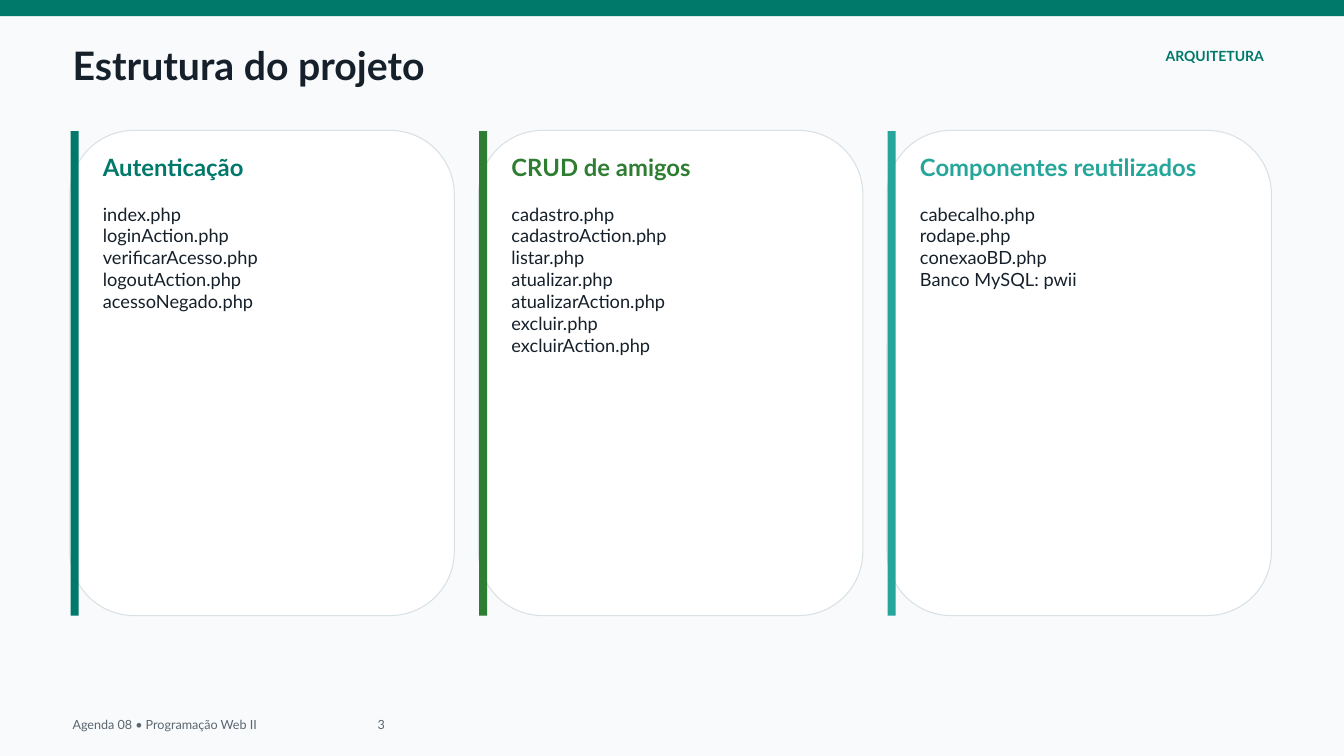
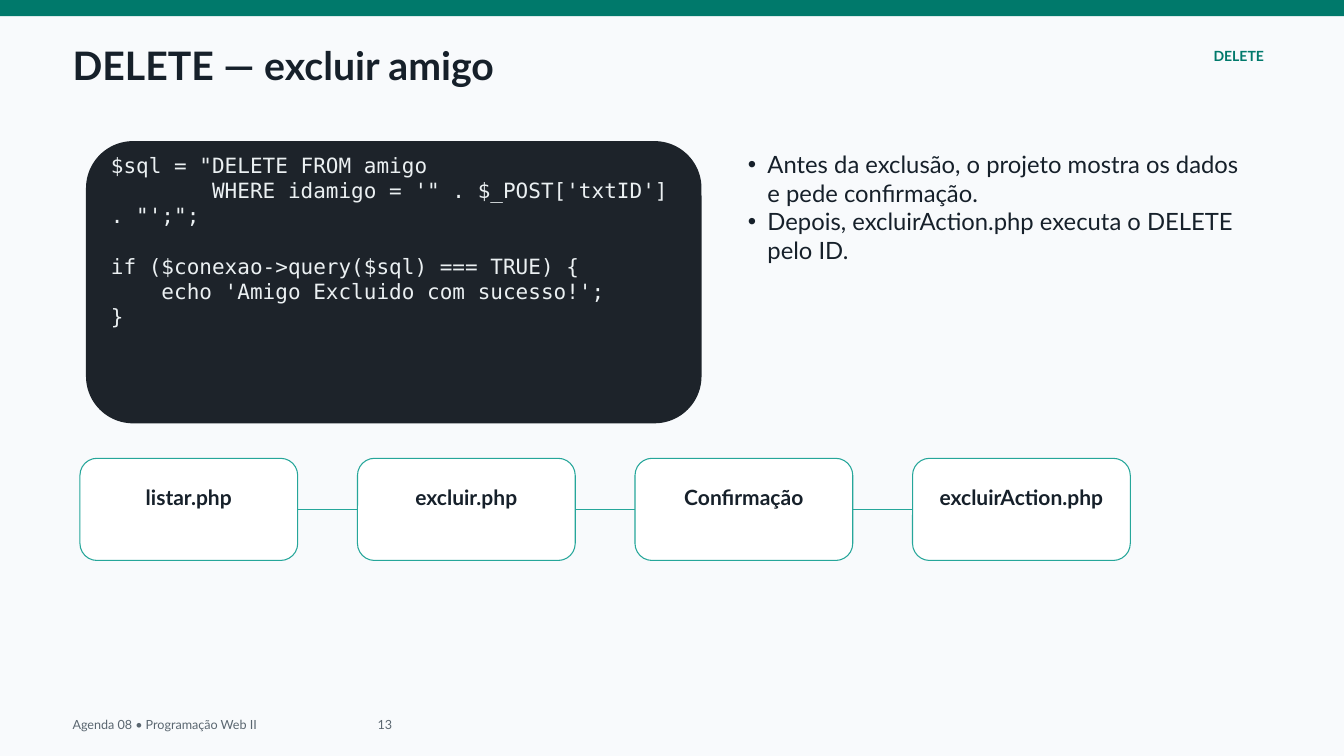
from lxml import etree
from pptx import Presentation
from pptx.dml.color import RGBColor
from pptx.enum.shapes import MSO_CONNECTOR, MSO_SHAPE
from pptx.enum.text import MSO_ANCHOR, MSO_AUTO_SIZE, PP_ALIGN
from pptx.oxml.ns import qn
from pptx.util import Inches, Pt

LEFT, CENTER, RIGHT = PP_ALIGN.LEFT, PP_ALIGN.CENTER, PP_ALIGN.RIGHT
TOP = MSO_ANCHOR.TOP
NO_AUTOFIT = MSO_AUTO_SIZE.NONE
RECTANGLE, ROUNDED = MSO_SHAPE.RECTANGLE, MSO_SHAPE.ROUNDED_RECTANGLE
STRAIGHT = MSO_CONNECTOR.STRAIGHT
SIDE_LEFT, SIDE_RIGHT = 1, 3
TITLE_AND_BODY, TITLE_ONLY = 1, 5

PAPER, WHITE, INK, GRAY = "F8FAFC", "FFFFFF", "16202A", "5A6670"
TEAL, GREEN, AQUA = "00796B", "2E7D32", "26A69A"
CARD_EDGE, CODE_BACK, CODE_INK = "DAE1E4", "1D232A", "EBF0F2"
SANS, MONO = "Lato", "DejaVu Sans Mono"
LINE_FACTOR = 1.2

CARDS = [
    ("Autenticação", TEAL,
     ["index.php", "loginAction.php", "verificarAcesso.php",
      "logoutAction.php", "acessoNegado.php"]),
    ("CRUD de amigos", GREEN,
     ["cadastro.php", "cadastroAction.php", "listar.php", "atualizar.php",
      "atualizarAction.php", "excluir.php", "excluirAction.php"]),
    ("Componentes reutilizados", AQUA,
     ["cabecalho.php", "rodape.php", "conexaoBD.php", "Banco MySQL: pwii"]),
]
QUERY_CODE = [
    "$sql = \"DELETE FROM amigo",
    "        WHERE idamigo = '\" . $_POST['txtID'] . \"';\";",
]
RESULT_CODE = [
    "if ($conexao->query($sql) === TRUE) {",
    "    echo 'Amigo Excluido com sucesso!';",
    "}",
]
NOTES = [
    "Antes da exclusão, o projeto mostra os dados e pede confirmação.",
    "Depois, excluirAction.php executa o DELETE pelo ID.",
]
STEPS = ["listar.php", "excluir.php", "Confirmação", "excluirAction.php"]


def rgb(color):
    return RGBColor.from_string(color)


def set_values(target, values):
    for name, value in values.items():
        setattr(target, name, value)


def place(shape, left, top, width, height):
    set_values(shape, {"left": Inches(left), "top": Inches(top),
                       "width": Inches(width), "height": Inches(height)})


def set_bullet(para, indent):
    properties = para._p.get_or_add_pPr()
    properties.set("marL", str(Inches(indent)))
    properties.set("indent", str(-Inches(indent)))
    etree.SubElement(properties, qn("a:buChar")).set("char", "•")


def set_tab(para, position):
    tabs = etree.SubElement(para._p.get_or_add_pPr(), qn("a:tabLst"))
    tab = etree.SubElement(tabs, qn("a:tab"))
    tab.set("pos", str(Inches(position)))
    tab.set("algn", "l")


def write(shape, lines, size, color=INK, font=SANS, bold=False, align=LEFT,
          insets=(0, 0), bullet=None, tab=None):
    side, top = insets
    frame = shape.text_frame
    set_values(frame, {
        "word_wrap": True, "auto_size": NO_AUTOFIT, "vertical_anchor": TOP,
        "margin_left": Inches(side), "margin_right": Inches(side),
        "margin_top": Inches(top), "margin_bottom": 0})
    frame.text = "\n".join(lines)
    for para in frame.paragraphs:
        if bullet:
            set_bullet(para, bullet)
        if tab:
            set_tab(para, tab)
        set_values(para, {"alignment": align, "space_before": Pt(0),
                          "line_spacing": Pt(size * LINE_FACTOR)})
        for span in para.runs:
            set_values(span.font, {"name": font, "size": Pt(size), "bold": bold})
            span.font.color.rgb = rgb(color)
    return frame


def add_text(page, bounds, lines, size, **look):
    box = page.shapes.add_textbox(*map(Inches, bounds))
    return write(box, lines, size, **look)


def add_panel(page, kind, bounds, fill, edge=None):
    panel = page.shapes.add_shape(kind, *map(Inches, bounds))
    panel.shadow.inherit = False
    panel.fill.solid()
    panel.fill.fore_color.rgb = rgb(fill)
    if edge:
        panel.line.color.rgb = rgb(edge)
        panel.line.width = Pt(1.13)
    else:
        panel.line.fill.background()
    return panel


def add_page(deck, layout, title, section, number):
    page = deck.slides.add_slide(deck.slide_layouts[layout])
    add_panel(page, RECTANGLE, (0, 0, 20, 0.24), TEAL)
    place(page.shapes.title, 1.08, 0.62, 17.51, 0.73)
    write(page.shapes.title, [title], 42, bold=True)
    add_text(page, (15.86, 0.7, 2.95, 0.43), [section], 15,
             color=TEAL, bold=True, align=RIGHT)
    add_text(page, (1.08, 10.67, 17.81, 0.24),
             [f"Agenda 08 • Programação Web II\t{number}"], 13.5,
             color=GRAY, tab=4.54)
    return page


def add_card(page, left, heading, color, files):
    add_panel(page, ROUNDED, (left, 1.94, 5.72, 7.22), WHITE, CARD_EDGE)
    add_panel(page, RECTANGLE, (left + 0.01, 1.95, 0.12, 7.21), color)
    add_text(page, (left + 0.49, 2.27, 4.83, 0.53), [heading], 25.5,
             color=color, bold=True)
    add_text(page, (left + 0.49, 3.02, 4.83, 5.87), files, 19.5)


def add_code(page):
    add_panel(page, ROUNDED, (1.28, 2.1, 9.16, 4.2), CODE_BACK)
    frame = add_text(page, (1.65, 2.27, 8.42, 3.81), QUERY_CODE + RESULT_CODE,
                     22.5, color=CODE_INK, font=MONO)
    frame.paragraphs[len(QUERY_CODE)].space_before = Pt(22.5 * LINE_FACTOR)


def add_step(page, left, label):
    step = add_panel(page, ROUNDED, (left, 6.82, 3.24, 1.52), WHITE, AQUA)
    write(step, [label], 22.5, bold=True, align=CENTER, insets=(0.19, 0.32))
    return step


def join(page, start, end):
    link = page.shapes.add_connector(STRAIGHT, 0, 0, 0, 0)
    link.begin_connect(start, SIDE_RIGHT)
    link.end_connect(end, SIDE_LEFT)
    link.line.color.rgb = rgb(AQUA)
    link.line.width = Pt(1.5)
    etree.SubElement(link._element.spPr, qn("a:effectLst"))


def build_structure(deck):
    page = add_page(deck, TITLE_ONLY, "Estrutura do projeto", "ARQUITETURA", 3)
    for index, card in enumerate(CARDS):
        add_card(page, 1.04 + 6.08 * index, *card)


def build_delete(deck):
    page = add_page(deck, TITLE_AND_BODY, "DELETE — excluir amigo", "DELETE", 13)
    add_code(page)
    body = page.placeholders[1]
    place(body, 11.13, 2.23, 7.31, 3.2)
    write(body, NOTES, 25.5, bullet=0.29)
    steps = [add_step(page, 1.19 + 4.13 * index, label)
             for index, label in enumerate(STEPS)]
    for start, end in zip(steps, steps[1:]):
        join(page, start, end)


def main():
    deck = Presentation()
    set_values(deck, {"slide_width": Inches(20), "slide_height": Inches(11.25)})
    backdrop = deck.slide_master.background.fill
    backdrop.solid()
    backdrop.fore_color.rgb = rgb(PAPER)
    build_structure(deck)
    build_delete(deck)
    deck.save("out.pptx")


if __name__ == "__main__":
    main()
